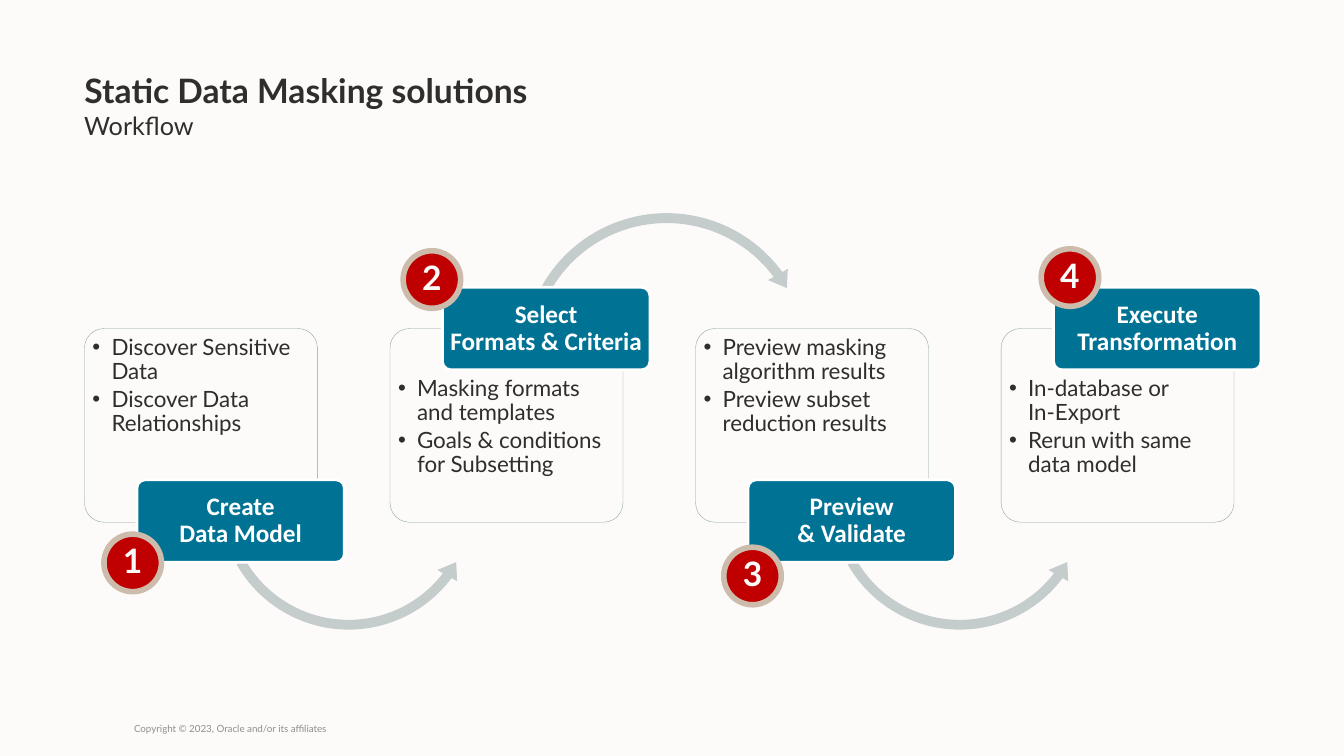
from dataclasses import dataclass

from lxml import etree
from pptx import Presentation
from pptx.dml.color import RGBColor
from pptx.enum.shapes import MSO_SHAPE
from pptx.enum.text import MSO_ANCHOR, PP_ALIGN
from pptx.oxml.ns import qn
from pptx.shapes.autoshape import Shape
from pptx.slide import Slide
from pptx.text.text import TextFrame, _Paragraph
from pptx.util import Cm, Pt

ROUNDED = MSO_SHAPE.ROUNDED_RECTANGLE
OVAL = MSO_SHAPE.OVAL
ARC_OVER = MSO_SHAPE.CIRCULAR_ARROW
ARC_UNDER = MSO_SHAPE.LEFT_CIRCULAR_ARROW
TOP, MIDDLE, BOTTOM = MSO_ANCHOR.TOP, MSO_ANCHOR.MIDDLE, MSO_ANCHOR.BOTTOM
LEFT, CENTER = PP_ALIGN.LEFT, PP_ALIGN.CENTER


@dataclass(frozen=True)
class Theme:
    paper: str = "FCFBFA"
    ink: str = "312D2A"
    muted: str = "908F8E"
    teal: str = "007395"
    white: str = "FFFFFF"
    card_edge: str = "8B9D9E"
    arrow: str = "C4CCCC"
    red: str = "C00000"
    sand: str = "CDBCAC"
    body_font: str = "Lato"
    banner_font: str = "Calibri"
    title_size: float = 24
    subtitle_size: float = 18
    banner_size: float = 18
    badge_size: float = 24
    bullet_size: float = 16
    footer_size: float = 7


THEME = Theme()


@dataclass(frozen=True)
class Area:
    left: float
    top: float
    width: float
    height: float


@dataclass(frozen=True)
class Style:
    size: float
    color: str = THEME.ink
    bold: bool = False
    font: str = THEME.body_font


@dataclass(frozen=True)
class Stage:
    heading: str
    bullets: tuple[str, ...]
    badge_left: float
    badge_top: float
    banner_above: bool


@dataclass(frozen=True)
class Arc:
    kind: MSO_SHAPE
    offset: float
    top: float
    size: float
    adjustments: tuple[float, ...]


STAGES = (
    Stage("Create\nData Model",
          ("Discover Sensitive Data", "Discover Data Relationships"), 2.62, 13.46, False),
    Stage("Select\nFormats & Criteria",
          ("Masking formats and templates", "Goals & conditions for Subsetting"), 10.16, 6.32, True),
    Stage("Preview\n& Validate",
          ("Preview masking algorithm results", "Preview subset reduction results"), 18.24, 13.79, False),
    Stage("Execute Transformation",
          ("In-database or\nIn-Export", "Rerun with same data model"), 26.24, 6.27, True),
)
UNDER = Arc(ARC_UNDER, 3.25, 9.22, 6.81, (0.036, 4.501, 22.256, 90.245, 0.042))
OVER = Arc(ARC_OVER, 3.2, 5.21, 7.54, (0.033, 4.019, 194.226, 125.755, 0.038))

FIRST_LEFT, STAGE_STEP = 2.13, 7.7
CARD_TOP, CARD_WIDTH, CARD_HEIGHT = 8.28, 5.87, 4.88
BANNER_OFFSET, BANNER_WIDTH, BANNER_HEIGHT = 1.32, 5.23, 2.08
BADGE_SIZE = 1.45


def add_filled_shape(page: Slide, kind: MSO_SHAPE, area: Area, fill: str,
                     edge: str | None = None, edge_width: float = 0) -> Shape:
    shape = page.shapes.add_shape(kind, Cm(area.left), Cm(area.top), Cm(area.width), Cm(area.height))
    shape.shadow.inherit = False
    shape.fill.solid()
    shape.fill.fore_color.rgb = RGBColor.from_string(fill)
    if edge is None:
        shape.line.fill.background()
    else:
        shape.line.color.rgb = RGBColor.from_string(edge)
        shape.line.width = Pt(edge_width)
    return shape


def set_frame(frame: TextFrame, anchor: MSO_ANCHOR, side: float = 0, top: float = 0,
              wrap: bool = True) -> None:
    frame.word_wrap = wrap
    frame.vertical_anchor = anchor
    frame.margin_left = frame.margin_right = Cm(side)
    frame.margin_top, frame.margin_bottom = Cm(top), Cm(0)


def write(para: _Paragraph, text: str, style: Style, align: PP_ALIGN = LEFT, spacing: float = 0.9) -> None:
    """Fill a paragraph, turning each newline into a line break."""
    para.alignment = align
    para.line_spacing = spacing
    for index, line in enumerate(text.split("\n")):
        if index:
            para.add_line_break()
        span = para.add_run()
        span.text = line
        span.font.name = style.font
        span.font.size = Pt(style.size)
        span.font.bold = style.bold
        span.font.color.rgb = RGBColor.from_string(style.color)


def add_bullet(para: _Paragraph) -> None:
    properties = para._p.get_or_add_pPr()
    properties.set("marL", str(Cm(0.48)))
    properties.set("indent", str(-Cm(0.48)))
    etree.SubElement(properties, qn("a:buFont")).set("typeface", "Arial")
    etree.SubElement(properties, qn("a:buChar")).set("char", "•")


def add_card(page: Slide, stage: Stage, left: float) -> None:
    card = add_filled_shape(page, ROUNDED, Area(left, CARD_TOP, CARD_WIDTH, CARD_HEIGHT),
                            THEME.paper, THEME.card_edge, 0.25)
    card.adjustments[0] = 0.1
    color = card.fill._xPr.find(qn("a:solidFill"))[0]
    etree.SubElement(color, qn("a:alpha")).set("val", "90000")
    frame = card.text_frame
    set_frame(frame, TOP, side=0.06, top=1.08 if stage.banner_above else 0.04)
    for index, text in enumerate(stage.bullets):
        para = frame.add_paragraph() if index else frame.paragraphs[0]
        add_bullet(para)
        para.space_after = Pt(2.9)
        write(para, text, Style(THEME.bullet_size))


def add_arc(page: Slide, arc: Arc, left: float) -> None:
    arrow = add_filled_shape(page, arc.kind, Area(left + arc.offset, arc.top, arc.size, arc.size), THEME.arrow)
    for index, value in enumerate(arc.adjustments):
        arrow.adjustments[index] = value


def add_banner(page: Slide, stage: Stage, left: float) -> None:
    top = 7.24 if stage.banner_above else 12.09
    banner = add_filled_shape(page, ROUNDED, Area(left + BANNER_OFFSET, top, BANNER_WIDTH, BANNER_HEIGHT),
                              THEME.teal, THEME.white, 2)
    banner.adjustments[0] = 0.1
    set_frame(banner.text_frame, MIDDLE, side=0.04)
    style = Style(THEME.banner_size, THEME.white, True, THEME.banner_font)
    write(banner.text_frame.paragraphs[0], stage.heading, style, CENTER)


def add_badge(page: Slide, stage: Stage, number: int) -> None:
    area = Area(stage.badge_left, stage.badge_top, BADGE_SIZE, BADGE_SIZE)
    badge = add_filled_shape(page, OVAL, area, THEME.red, THEME.sand, 4)
    set_frame(badge.text_frame, MIDDLE, wrap=False)
    write(badge.text_frame.paragraphs[0], str(number), Style(THEME.badge_size, THEME.paper, True), CENTER)


def add_label(page: Slide, area: Area, text: str, style: Style, anchor: MSO_ANCHOR, spacing: float) -> None:
    box = page.shapes.add_textbox(Cm(area.left), Cm(area.top), Cm(area.width), Cm(area.height))
    set_frame(box.text_frame, anchor)
    write(box.text_frame.paragraphs[0], text, style, spacing=spacing)


def main() -> None:
    deck = Presentation()
    deck.slide_width, deck.slide_height = Cm(33.87), Cm(19.05)
    page = deck.slides.add_slide(deck.slide_layouts[6])
    page.background.fill.solid()
    page.background.fill.fore_color.rgb = RGBColor.from_string(THEME.paper)

    for index, stage in enumerate(STAGES):
        left = FIRST_LEFT + index * STAGE_STEP
        add_card(page, stage, left)
        if index < len(STAGES) - 1:
            add_arc(page, OVER if stage.banner_above else UNDER, left)
        add_banner(page, stage, left)
    for number, stage in enumerate(STAGES, start=1):
        add_badge(page, stage, number)

    add_label(page, Area(2.13, 0.51, 29.64, 2.29), "Static Data Masking solutions",
              Style(THEME.title_size, bold=True), BOTTOM, 0.95)
    add_label(page, Area(2.12, 2.84, 29.64, 0.91), "Workflow", Style(THEME.subtitle_size), TOP, 0.95)
    add_label(page, Area(3.38, 17.86, 15.5, 1.02), "Copyright © 2023, Oracle and/or its affiliates",
              Style(THEME.footer_size, THEME.muted), MIDDLE, 1.0)
    deck.save("out.pptx")


if __name__ == "__main__":
    main()
